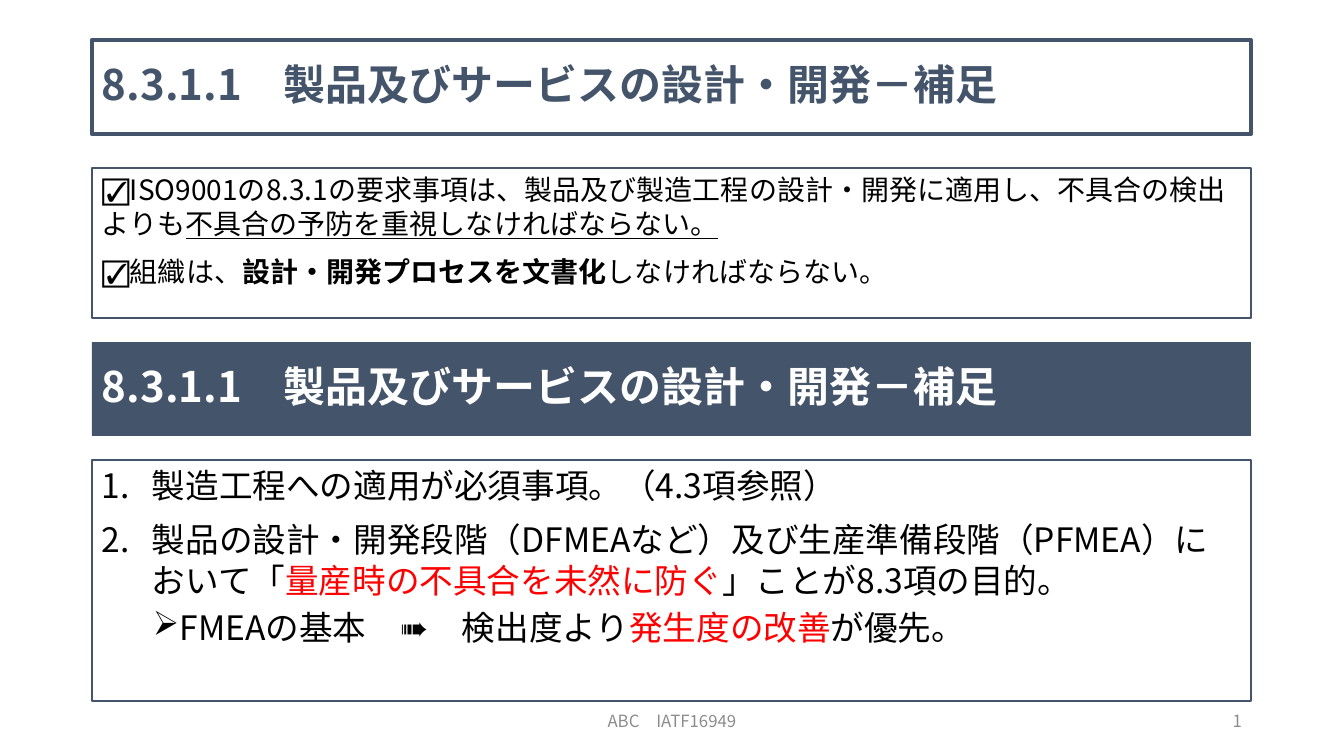
import pptx
import pptx.dml.color
import pptx.enum.shapes
import pptx.enum.text
import pptx.oxml.ns
import pptx.util
from lxml import etree

RGB = pptx.dml.color.RGBColor
NAVY = RGB(0x44, 0x54, 0x6A)
WHITE = RGB(0xFF, 0xFF, 0xFF)
BLACK = RGB(0, 0, 0)
RED = RGB(0xFF, 0, 0)
GRAY = RGB(0x8C, 0x8C, 0x8C)

FONT = "Noto Sans CJK JP"
ALIGN = pptx.enum.text.PP_ALIGN
ANCHOR = pptx.enum.text.MSO_ANCHOR
SCALE = 914400 / 100.8
LEFT, WIDTH = 92, 1159
HEAD = "8.3.1.1\u3000製品及びサービスの設計・開発－補足"


def px(n):
    return pptx.util.Emu(round(n * SCALE))


def style(run, size, color, bold=False, under=False):
    font = run.font
    font.size = pptx.util.Pt(size)
    font.name = FONT
    font.bold = bold
    font.underline = under
    font.color.rgb = color
    tag = pptx.oxml.ns.qn("a:ea")
    etree.SubElement(run._r.get_or_add_rPr(), tag, typeface=FONT)


def bullet(para, kind, left, hang, **attrs):
    props = para._p.get_or_add_pPr()
    props.set("marL", str(px(left)))
    props.set("indent", str(-px(hang)))
    etree.SubElement(props, pptx.oxml.ns.qn(kind), **attrs)


def write(para, *parts, size=20, color=BLACK, bold=False,
          align=ALIGN.LEFT, before=0, lines=None):
    """Each part is a string, or a string with its own format."""
    para.alignment = align
    para.space_before = pptx.util.Pt(before)
    if lines:
        para.line_spacing = lines
    for part in parts:
        text, extra = part if isinstance(part, tuple) else (part, {})
        run = para.add_run()
        run.text = text
        style(run, size, **{"color": color, "bold": bold, **extra})


def box(slide, top, height, fill=None, line=None, weight=1,
        anchor=ANCHOR.TOP):
    shape = slide.shapes.add_shape(
        pptx.enum.shapes.MSO_SHAPE.RECTANGLE,
        px(LEFT), px(top), px(WIDTH), px(height))
    shape.shadow.inherit = False
    if fill is None:
        shape.fill.background()
    else:
        shape.fill.solid()
        shape.fill.fore_color.rgb = fill
    if line is None:
        shape.line.fill.background()
    else:
        shape.line.color.rgb = line
        shape.line.width = pptx.util.Pt(weight)
    frame = shape.text_frame
    frame.word_wrap = True
    frame.vertical_anchor = anchor
    return frame


def title(slide, top, color, **look):
    frame = box(slide, top, 94, anchor=ANCHOR.MIDDLE, **look)
    write(frame.paragraphs[0], HEAD, size=30, color=color, bold=True,
          lines=0.9)


def label(slide, text, left, width, align):
    shape = slide.shapes.add_textbox(px(left), px(701), px(width), px(40))
    frame = shape.text_frame
    frame.word_wrap = True
    frame.vertical_anchor = ANCHOR.MIDDLE
    write(frame.paragraphs[0], text, size=12, color=GRAY, align=align)


def rules(slide):
    frame = box(slide, 168, 150, line=NAVY)
    write(frame.paragraphs[0],
          "☑ISO9001の8.3.1の要求事項は、製品及び製造工程の設計・開発に"
          "適用し、不具合の検出よりも",
          ("不具合の予防を重視しなければならない。", {"under": True}),
          before=10)
    write(frame.add_paragraph(), "☑組織は、",
          ("設計・開発プロセスを文書化", {"bold": True}),
          "しなければならない。", before=10)


def notes(slide):
    frame = box(slide, 460, 241, line=NAVY)
    frame.margin_right = px(20)
    red = {"color": RED}
    items = [
        ["製造工程への適用が必須事項。（4.3項参照）"],
        ["製品の設計・開発段階（DFMEAなど）及び生産準備段階（PFMEA）"
         "において「", ("量産時の不具合を未然に防ぐ", red),
         "」ことが8.3項の目的。"],
    ]
    for i, parts in enumerate(items):
        para = frame.add_paragraph() if i else frame.paragraphs[0]
        write(para, *parts, size=24, before=10)
        bullet(para, "a:buAutoNum", 50, 50, type="arabicPeriod")
    para = frame.add_paragraph()
    para.level = 1
    write(para, "FMEAの基本\u3000➠\u3000検出度より",
          ("発生度の改善", red), "が優先。", size=24, before=5)
    bullet(para, "a:buChar", 76, 25, char="➢")


def main():
    deck = pptx.Presentation()
    deck.slide_width, deck.slide_height = px(1344), px(756)
    slide = deck.slides.add_slide(deck.slide_layouts[6])

    # Footer
    label(slide, "ABC\u3000IATF16949", 445, 454, ALIGN.CENTER)
    label(slide, "1", 950, 302, ALIGN.RIGHT)

    # Requirement
    title(slide, 40, NAVY, fill=WHITE, line=NAVY, weight=3)
    rules(slide)

    # Explanation
    title(slide, 342, WHITE, fill=NAVY)
    notes(slide)

    deck.save("out.pptx")


main()
